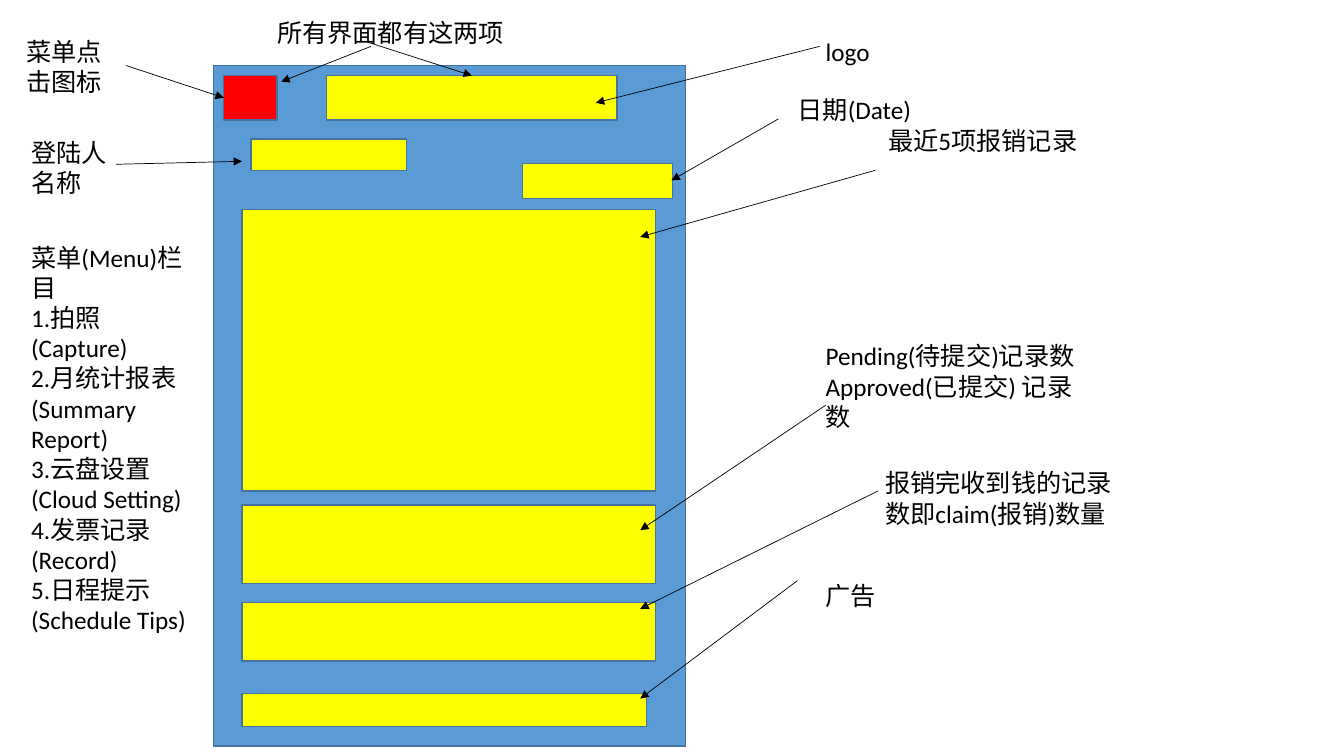
from dataclasses import dataclass

from lxml.etree import SubElement
from pptx import Presentation
from pptx.dml.color import RGBColor
from pptx.enum.shapes import MSO_CONNECTOR as Connector, MSO_SHAPE as Shape
from pptx.enum.text import MSO_AUTO_SIZE as AutoSize, PP_ALIGN as Align
from pptx.oxml.ns import qn
from pptx.slide import Slide
from pptx.util import Emu, Pt

PX = 9144
BLACK = RGBColor(0x00, 0x00, 0x00)
BLUE = RGBColor(0x5B, 0x9B, 0xD5)
OUTLINE = RGBColor(0x43, 0x73, 0x9E)
RED = RGBColor(0xFF, 0x00, 0x00)
YELLOW = RGBColor(0xFF, 0xFF, 0x00)


@dataclass(frozen=True)
class Panel:
    left: int
    top: int
    width: int
    height: int
    fill: RGBColor = YELLOW


@dataclass(frozen=True)
class Arrow:
    start_x: int
    start_y: int
    end_x: int
    end_y: int


@dataclass(frozen=True)
class Label:
    left: int
    top: int
    width: int
    height: int
    text: str


PANELS = [
    Panel(212, 65, 468, 675, BLUE),
    Panel(222, 75, 53, 44, RED),
    Panel(324, 75, 288, 44),
    Panel(249, 138, 154, 31),
    Panel(518, 162, 149, 35),
    Panel(240, 208, 410, 279),
    Panel(240, 501, 410, 78),
    Panel(240, 598, 410, 58),
    Panel(240, 688, 401, 33),
]

ARROWS = [
    Arrow(125, 65, 222, 97),
    Arrow(813, 46, 591, 102),
    Arrow(868, 169, 635, 235),
    Arrow(115, 163, 240, 160),
    Arrow(772, 118, 666, 179),
    Arrow(819, 402, 635, 526),
    Arrow(871, 487, 635, 604),
    Arrow(791, 576, 635, 693),
    Arrow(368, 46, 279, 81),
    Arrow(362, 41, 468, 75),
]

MENU = """菜单(Menu)栏目
1.拍照(Capture)
2.月统计报表(Summary Report)
3.云盘设置(Cloud Setting)
4.发票记录(Record)
5.日程提示(Schedule Tips)"""

LABELS = [
    Label(16, 31, 118, 71, "菜单点击图标"),
    Label(809, 31, 160, 40, "logo"),
    Label(871, 119, 260, 40, "最近5项报销记录"),
    Label(21, 131, 113, 101, "登陆人名称"),
    Label(781, 89, 162, 40, "日期(Date)"),
    Label(809, 333, 285, 101, "Pending(待提交)记录数\nApproved(已提交) 记录数"),
    Label(868, 459, 263, 71, "报销完收到钱的记录数即claim(报销)数量"),
    Label(809, 571, 322, 40, "广告"),
    Label(265, 12, 278, 40, "所有界面都有这两项"),
    Label(21, 235, 182, 404, MENU),
]


def px(*lengths: int) -> list[Emu]:
    return [Emu(length * PX) for length in lengths]


def add_panel(page: Slide, panel: Panel) -> None:
    shape = page.shapes.add_shape(
        Shape.RECTANGLE, *px(panel.left, panel.top, panel.width, panel.height))
    shape.shadow.inherit = False
    shape.fill.solid()
    shape.fill.fore_color.rgb = panel.fill
    shape.line.color.rgb = OUTLINE
    shape.line.width = Pt(1)


def add_arrow(page: Slide, arrow: Arrow) -> None:
    connector = page.shapes.add_connector(
        Connector.STRAIGHT,
        *px(arrow.start_x, arrow.start_y, arrow.end_x, arrow.end_y))
    connector.line.color.rgb = BLACK
    connector.line.width = Pt(0.5)
    properties = connector.line._get_or_add_ln()
    SubElement(properties, qn("a:tailEnd"), type="triangle")
    SubElement(properties.getparent(), qn("a:effectLst"))


def add_text(page: Slide, text: str, *, left: int, top: int, width: int,
             height: int, size: int = 18, color: RGBColor = BLACK,
             font: str = "Calibri") -> None:
    box = page.shapes.add_textbox(*px(left, top, width, height))
    frame = box.text_frame
    frame.word_wrap = True
    frame.auto_size = AutoSize.SHAPE_TO_FIT_TEXT
    frame.text = text
    for para in frame.paragraphs:
        para.alignment = Align.LEFT
        for span in para.runs:
            span.font.name = font
            span.font.size = Pt(size)
            span.font.color.rgb = color


def main() -> None:
    deck = Presentation()
    deck.slide_width, deck.slide_height = px(1333, 750)
    page = deck.slides.add_slide(deck.slide_layouts.get_by_name("Blank"))
    for panel in PANELS:
        add_panel(page, panel)
    for arrow in ARROWS:
        add_arrow(page, arrow)
    for label in LABELS:
        add_text(page, label.text, left=label.left, top=label.top,
                 width=label.width, height=label.height)
    deck.save("out.pptx")


if __name__ == "__main__":
    main()
